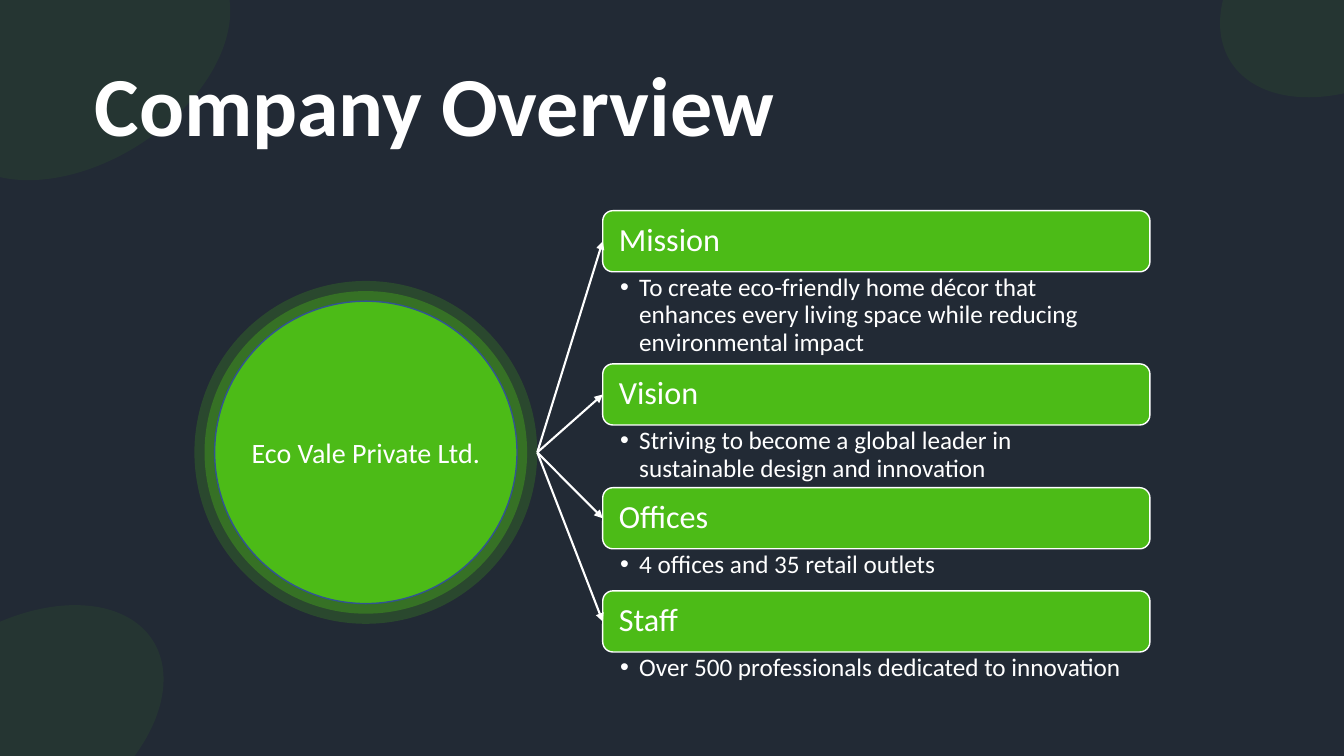
import pptx
import pptx.util
import pptx.dml.color
import pptx.enum.shapes
import pptx.enum.text
import pptx.oxml
import pptx.oxml.ns
from lxml import etree

Cm, Pt = pptx.util.Cm, pptx.util.Pt
RGBColor = pptx.dml.color.RGBColor
SHAPE = pptx.enum.shapes.MSO_SHAPE
ALIGN = pptx.enum.text.PP_ALIGN
ANCHOR = pptx.enum.text.MSO_ANCHOR
qn = pptx.oxml.ns.qn

NAVY = RGBColor(0x22, 0x2A, 0x35)
GREEN = RGBColor(0x4C, 0xBB, 0x17)
BLUE = RGBColor(0x32, 0x54, 0x91)
WHITE = RGBColor(0xFF, 0xFF, 0xFF)

BLOBS = [(-1.88, -1.09), (-3.56, 15.75), (30.38, -3.18)]
RINGS = [(8.64, 21), (8.13, 36), (7.62, 100)]
HEADING_HEIGHT = 1.54
TOPICS = [
    ("Mission", "To create eco-friendly home décor that enhances every living "
                "space while reducing environmental impact", 2.32),
    ("Vision", "Striving to become a global leader in sustainable design "
               "and innovation", 1.58),
    ("Offices", "4 offices and 35 retail outlets", 1.06),
    ("Staff", "Over 500 professionals dedicated to innovation", 1.06),
]


def write(tf, text, size, align=ALIGN.LEFT, bold=False):
    """Set one white paragraph and return it."""
    tf.text = text
    p = tf.paragraphs[0]
    p.alignment = align
    font = p.runs[0].font
    font.name, font.size, font.bold = "Calibri", Pt(size), bold
    font.color.rgb = WHITE
    return p


def set_margins(tf, left, top, right, bottom):
    """Set the insets of a text frame in centimetres."""
    tf.margin_left, tf.margin_top = Cm(left), Cm(top)
    tf.margin_right, tf.margin_bottom = Cm(right), Cm(bottom)


def add_green(s, kind, left, top, width, height, opacity=100):
    """Add a green shape without outline."""
    sp = s.shapes.add_shape(kind, Cm(left), Cm(top), Cm(width), Cm(height))
    sp.shadow.inherit = False
    sp.fill.solid()
    sp.fill.fore_color.rgb = GREEN
    sp.line.fill.background()
    if opacity < 100:
        color = sp.fill._xPr.find(".//" + qn("a:srgbClr"))
        etree.SubElement(color, qn("a:alpha"), val=str(opacity * 1000))
    return sp


def add_background(s):
    """Fill the slide and place the tilted corner blobs."""
    s.background.fill.solid()
    s.background.fill.fore_color.rgb = NAVY
    for left, top in BLOBS:
        add_green(s, SHAPE.OVAL, left, top, 8.05, 5.13, 8).rotation = 327.2


def add_title(s, left, top, width, height):
    """Format the title placeholder and raise it above the blobs."""
    title = s.shapes.title
    title.left, title.top = Cm(left), Cm(top)
    title.width, title.height = Cm(width), Cm(height)
    tf = title.text_frame
    tf.vertical_anchor = ANCHOR.MIDDLE
    write(tf, "Company Overview", 60, bold=True)
    s.shapes.element.append(title.element)


def add_company(s, left, top, size):
    """Draw the company disc with its halo, centred in a square box."""
    for diameter, opacity in RINGS:
        gap = (size - diameter) / 2
        disc = add_green(s, SHAPE.FLOWCHART_CONNECTOR, left + gap, top + gap,
                         diameter, diameter, opacity)
    disc.line.color.rgb = BLUE
    disc.line.width = Pt(1)
    tf = disc.text_frame
    tf.word_wrap = False
    tf.vertical_anchor = ANCHOR.MIDDLE
    write(tf, "Eco Vale Private Ltd.", 20, ALIGN.CENTER)


def add_heading(s, text, left, top, width):
    """Add a rounded heading bar and return it."""
    sp = add_green(s, SHAPE.ROUNDED_RECTANGLE, left, top, width, HEADING_HEIGHT)
    sp.line.color.rgb = WHITE
    sp.line.width = Pt(1)
    tf = sp.text_frame
    tf.vertical_anchor = ANCHOR.MIDDLE
    set_margins(tf, 0.33, 0.1, 0.33, 0.1)
    write(tf, text, 23).line_spacing = 0.9
    return sp


def add_bullet(s, text, left, top, width, height):
    """Add the bulleted statement below a heading."""
    sp = s.shapes.add_textbox(Cm(left), Cm(top), Cm(width), Cm(height))
    tf = sp.text_frame
    tf.word_wrap = True
    set_margins(tf, 0.44, 0.08, 0.45, 0.08)
    p = write(tf, text, 18)
    p.line_spacing = 0.9
    pPr = p._p.get_or_add_pPr()
    pPr.set("marL", str(Cm(0.48)))
    pPr.set("indent", str(-Cm(0.48)))
    etree.SubElement(pPr, qn("a:buFont"), typeface="Arial")
    etree.SubElement(pPr, qn("a:buChar"), char="•")


def add_arrow(s, x, y, heading):
    """Draw an arrow from a point to the left side of a heading."""
    line = s.shapes.add_connector(pptx.enum.shapes.MSO_CONNECTOR.STRAIGHT,
                                  Cm(x), Cm(y), heading.left, heading.top)
    line.end_connect(heading, 1)
    line.line.color.rgb = WHITE
    line.line.width = Pt(1.5)
    etree.SubElement(line.line._get_or_add_ln(), qn("a:tailEnd"), type="triangle")
    etree.SubElement(line._element.spPr, qn("a:effectLst"))


def add_topics(s, left, top, width, hub_x, hub_y):
    """Stack the topics and link each one to the hub."""
    headings = []
    for name, text, height in TOPICS:
        headings.append(add_heading(s, name, left, top, width))
        add_bullet(s, text, left, top + HEADING_HEIGHT, width, height)
        top += HEADING_HEIGHT + height
    for heading in headings:
        add_arrow(s, hub_x, hub_y, heading)


def main():
    """Build the company overview slide."""
    prs = pptx.Presentation()
    prs.slide_width, prs.slide_height = Cm(33.87), Cm(19.05)
    s = prs.slides.add_slide(prs.slide_layouts[5])
    add_background(s)
    add_title(s, 2.13, 1.19, 20.57, 2.82)
    add_company(s, 4.9, 7.08, 8.64)
    add_topics(s, 15.19, 5.31, 13.79, 13.54, 11.4)
    prs.save("out.pptx")


if __name__ == "__main__":
    main()
